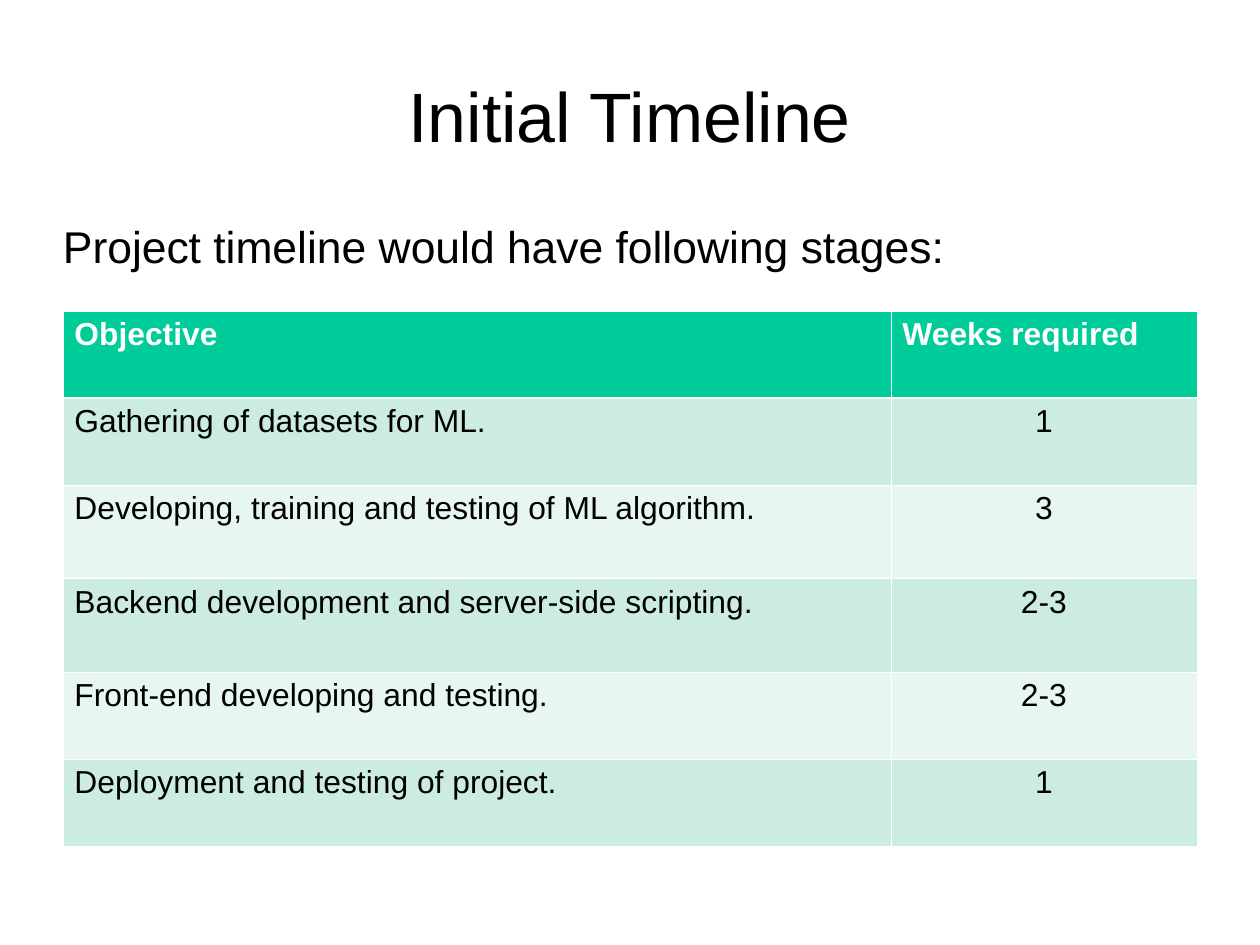
from dataclasses import dataclass

from lxml.etree import SubElement
from pptx import Presentation
from pptx.dml.color import RGBColor
from pptx.enum.text import MSO_ANCHOR as Anchor, PP_ALIGN as Align
from pptx.oxml.ns import qn
from pptx.util import Cm, Pt

TITLE = "Initial Timeline"
INTRO = "Project timeline would have following stages:"
HEADINGS = ("Objective", "Weeks required")
STAGES = [
    ("Gathering of datasets for ML.", "1"),
    ("Developing, training and testing of ML algorithm.", "3"),
    ("Backend development and server-side scripting.", "2-3"),
    ("Front-end developing and testing.", "2-3"),
    ("Deployment and testing of project.", "1"),
]


@dataclass(frozen=True)
class Theme:
    font: str = "Arial"
    ink: str = "000000"
    paper: str = "FFFFFF"
    header: str = "00CC99"
    bands: tuple = ("CBECDE", "E7F6EF")
    title_size: int = 44
    intro_size: int = 28
    table_size: int = 20
    thin_rule: float = 0.45
    header_rule: float = 1.47


THEME = Theme()
LEFT, WIDTH = Cm(1.4), Cm(25.2)
COLUMN_WIDTHS = (Cm(18.4), Cm(6.8))
ROW_HEIGHTS = [Cm(h) for h in (1.93, 1.93, 2.08, 2.08, 1.93, 1.93)]


def write(frame, text, size, color=THEME.ink, bold=False, align=Align.LEFT, spacing=None):
    paragraph = frame.paragraphs[0]
    paragraph.alignment = align
    paragraph.line_spacing = spacing
    run = paragraph.add_run()
    run.text = text
    run.font.name = THEME.font
    run.font.size = Pt(size)
    run.font.bold = bold
    run.font.color.rgb = RGBColor.from_string(color)


def add_text(slide, text, top, height, inset, anchor=Anchor.TOP, **style):
    frame = slide.shapes.add_textbox(LEFT, top, WIDTH, height).text_frame
    frame.word_wrap = True
    frame.vertical_anchor = anchor
    frame.margin_left = frame.margin_right = frame.margin_bottom = 0
    frame.margin_top = inset
    write(frame, text, spacing=0.93, **style)


def set_borders(cell, **widths):
    """Draw the cell's L, R, T and B rules, each given in points."""
    properties = cell._tc.get_or_add_tcPr()
    for side, width in widths.items():
        rule = SubElement(properties, qn(f"a:ln{side}"), w=str(Pt(width)))
        fill = SubElement(rule, qn("a:solidFill"))
        SubElement(fill, qn("a:srgbClr"), val=THEME.paper)


def add_timeline(slide, top):
    rows = [HEADINGS, *STAGES]
    table = slide.shapes.add_table(
        len(rows), len(HEADINGS), LEFT, top, WIDTH, sum(ROW_HEIGHTS)
    ).table
    for column, width in zip(table.columns, COLUMN_WIDTHS):
        column.width = width
    for r, (values, height) in enumerate(zip(rows, ROW_HEIGHTS)):
        table.rows[r].height = height
        is_header = r == 0
        fill = THEME.header if is_header else THEME.bands[(r - 1) % 2]
        for c, value in enumerate(values):
            cell = table.cell(r, c)
            set_borders(
                cell,
                L=THEME.thin_rule,
                R=THEME.thin_rule,
                T=THEME.header_rule if r == 1 else THEME.thin_rule,
                B=THEME.header_rule if is_header else THEME.thin_rule,
            )
            cell.fill.solid()
            cell.fill.fore_color.rgb = RGBColor.from_string(fill)
            write(
                cell.text_frame,
                value,
                THEME.table_size,
                color=THEME.paper if is_header else THEME.ink,
                bold=is_header,
                align=Align.CENTER if c == 1 and not is_header else Align.LEFT,
            )


def main():
    deck = Presentation()
    deck.slide_width, deck.slide_height = Cm(28), Cm(21)
    slide = deck.slides.add_slide(deck.slide_layouts[6])
    add_text(slide, TITLE, Cm(0.84), Cm(3.5), Cm(0.1), anchor=Anchor.MIDDLE,
             size=THEME.title_size, align=Align.CENTER)
    add_text(slide, INTRO, Cm(4.9), Cm(1.5), Cm(0.08), size=THEME.intro_size)
    add_timeline(slide, Cm(6.92))
    deck.save("out.pptx")


if __name__ == "__main__":
    main()
